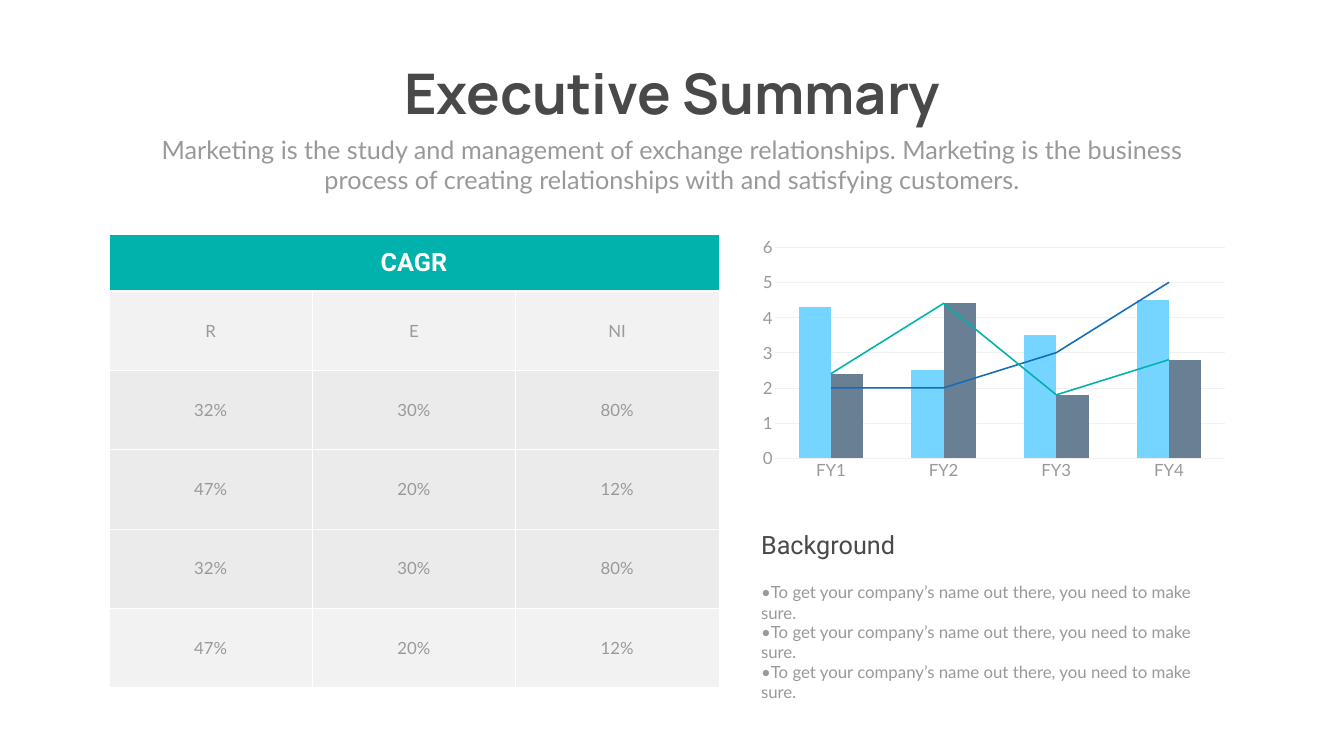
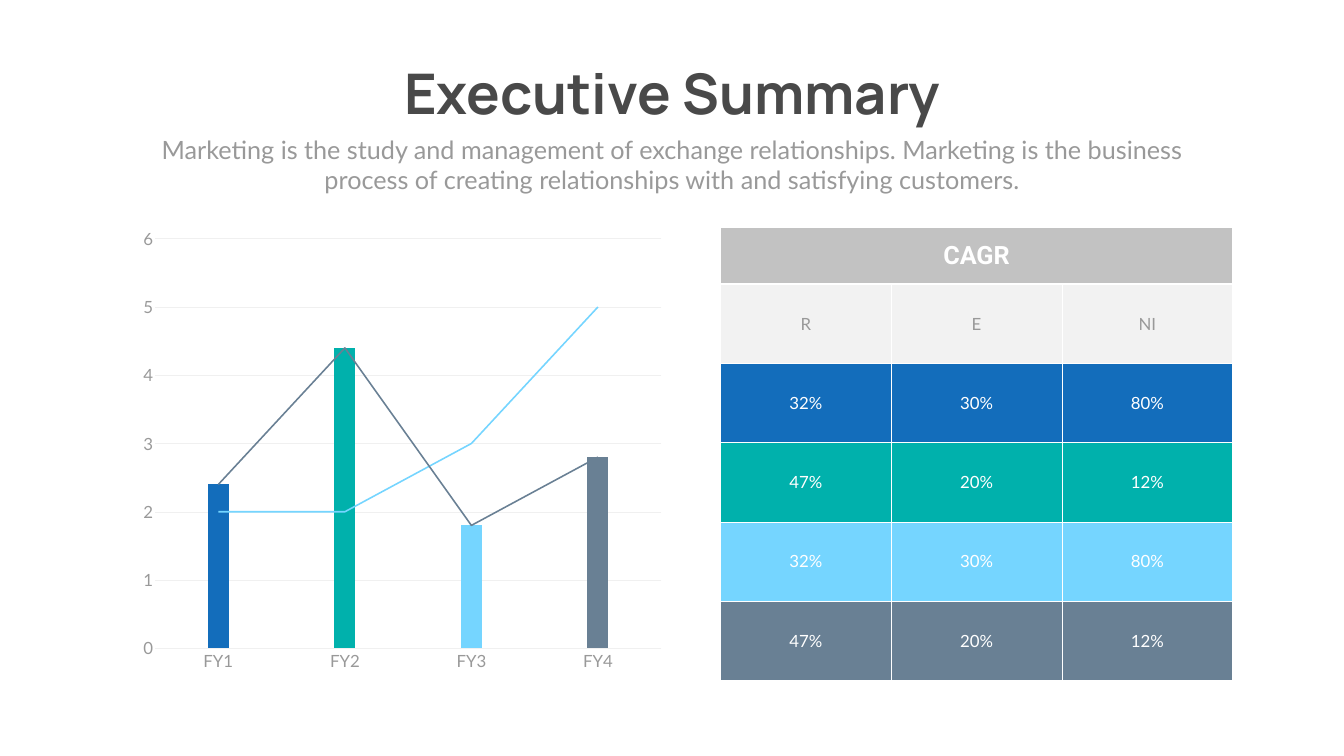
from pptx import Presentation
from pptx.chart.data import CategoryChartData
from pptx.dml.color import RGBColor
from pptx.enum.chart import XL_CHART_TYPE, XL_MARKER_STYLE, XL_TICK_MARK
from pptx.enum.text import MSO_ANCHOR, MSO_AUTO_SIZE, PP_ALIGN
from pptx.oxml import parse_xml
from pptx.oxml.ns import nsdecls, qn
from pptx.util import Cm, Pt

COLUMNS = XL_CHART_TYPE.COLUMN_CLUSTERED
NO_MARKER = XL_MARKER_STYLE.NONE
NO_TICK = XL_TICK_MARK.NONE
MIDDLE = MSO_ANCHOR.MIDDLE
GROW = MSO_AUTO_SIZE.SHAPE_TO_FIT_TEXT
LEFT, CENTER = PP_ALIGN.LEFT, PP_ALIGN.CENTER

BLUE, TEAL, SKY, SLATE = "136DBB", "00B1AC", "75D5FF", "698094"
DARK, GRAY, SILVER, WHITE = "494949", "999999", "C2C2C2", "FFFFFF"
PALE, GRID, MIST = "F2F2F2", "F0F0F0", "D9D9D9"

TITLE = "Executive Summary"
SUBTITLE = (
    "Marketing is the study and management of exchange relationships. "
    "Marketing is the business process of creating relationships with "
    "and satisfying customers."
)
BACKGROUND = "Background"
BACKGROUND_POINTS = ["•To get your company’s name out there, you need to make sure."] * 3

CAGR = "CAGR"
CAGR_ROWS = [
    ("R", "E", "NI"),
    ("32%", "30%", "80%"),
    ("47%", "20%", "12%"),
    ("32%", "30%", "80%"),
    ("47%", "20%", "12%"),
]
HEADER_HEIGHT, ROW_HEIGHT = 2.87, 3.99

YEARS = ["FY1", "FY2", "FY3", "FY4"]
FIRST_VALUES = (4.3, 2.5, 3.5, 4.5)
SECOND_VALUES = (2.4, 4.4, 1.8, 2.8)
THIRD_VALUES = (2, 2, 3, 5)

MUTED_TABLE = {
    "place": (5.49, 11.81, 30.73),
    "header": TEAL,
    "fills": [PALE, MIST, MIST, MIST, PALE],
    "inks": [GRAY] * 5,
}
VIVID_TABLE = {
    "place": (36.3, 11.46, 25.81),
    "header": SILVER,
    "fills": [PALE, BLUE, TEAL, SKY, SLATE],
    "inks": [GRAY] + [WHITE] * 4,
}
PAIRED_CHART = {
    "place": (37.95, 11.68, 24.28, 12.8),
    "gap": 150,
    "bars": [(FIRST_VALUES, SKY), (SECOND_VALUES, SLATE)],
    "lines": [(THIRD_VALUES, BLUE), (SECOND_VALUES, TEAL)],
    "points": {},
}
YEARLY_CHART = {
    "place": (6.68, 11.05, 27.18, 23.22),
    "gap": 500,
    "bars": [(SECOND_VALUES, TEAL)],
    "lines": [(THIRD_VALUES, SKY), (SECOND_VALUES, SLATE)],
    "points": {0: BLUE, 2: SKY, 3: SLATE},
}


def rgb(color):
    return RGBColor.from_string(color)


def paint(fill, color):
    fill.solid()
    fill.fore_color.rgb = rgb(color)


def style(font, size, face, color, bold=False):
    font.size = Pt(size)
    font.name = face
    font.bold = bold
    font.color.rgb = rgb(color)


def add_text(shapes, place, text, size, face, color, align=LEFT, bold=False, wrap=True):
    frame = shapes.add_textbox(*map(Cm, place)).text_frame
    frame.word_wrap = wrap
    frame.auto_size = GROW
    frame.text = text
    frame.paragraphs[0].alignment = align
    style(frame.paragraphs[0].runs[0].font, size, face, color, bold)


def add_heading(slide):
    shapes = slide.shapes.add_group_shape().shapes
    add_text(shapes, (18.9, 2.84, 29.95, 3.68), TITLE, 80, "Manrope", DARK,
             CENTER, bold=True, wrap=False)
    add_text(shapes, (7.42, 6.63, 52.88, 3.33), SUBTITLE, 36, "Lato", GRAY, CENTER)


def add_background(slide):
    shapes = slide.shapes.add_group_shape().shapes
    add_text(shapes, (38.1, 26.57, 8.28, 1.8), BACKGROUND, 36, "Roboto", DARK)
    for index, point in enumerate(BACKGROUND_POINTS):
        add_text(shapes, (38.1, 29.21 + 2 * index, 23.44, 1.27), point, 24, "Lato", GRAY)


def dress_cell(cell, fill, top=1, bottom=1):
    properties = cell._tc.get_or_add_tcPr()
    for side, width in (("L", 1), ("R", 1), ("T", top), ("B", bottom)):
        properties.append(parse_xml(
            f'<a:ln{side} {nsdecls("a")} w="{Pt(width)}"><a:solidFill>'
            f'<a:srgbClr val="{WHITE}"/></a:solidFill></a:ln{side}>'))
    paint(cell.fill, fill)
    if fill == MIST:
        tint = properties.find(qn("a:solidFill")).find(qn("a:srgbClr"))
        tint.append(parse_xml(f'<a:alpha {nsdecls("a")} val="50000"/>'))


def write_cell(cell, text, size, face, color, bold=False):
    cell.vertical_anchor = MIDDLE
    cell.text = text
    paragraph = cell.text_frame.paragraphs[0]
    paragraph.alignment = CENTER
    style(paragraph.runs[0].font, size, face, color, bold)


def add_cagr_table(slide, look):
    left, top, width = look["place"]
    row_count, column_count = len(CAGR_ROWS) + 1, len(CAGR_ROWS[0])
    height = HEADER_HEIGHT + ROW_HEIGHT * len(CAGR_ROWS)
    table = slide.shapes.add_table(
        row_count, column_count, Cm(left), Cm(top), Cm(width), Cm(height)).table
    table.first_row = table.horz_banding = False
    for column in table.columns:
        column.width = Cm(width / column_count)
    for index, row in enumerate(table.rows):
        row.height = Cm(ROW_HEIGHT if index else HEADER_HEIGHT)
    for column in range(column_count):
        dress_cell(table.cell(0, column), look["header"], bottom=3)
    table.cell(0, 0).merge(table.cell(0, column_count - 1))
    write_cell(table.cell(0, 0), CAGR, 36, "Roboto", WHITE, bold=True)
    for row, (texts, fill, ink) in enumerate(zip(CAGR_ROWS, look["fills"], look["inks"]), 1):
        for column, text in enumerate(texts):
            cell = table.cell(row, column)
            dress_cell(cell, fill, top=3 if row == 1 else 1)
            write_cell(cell, text, 24, "Lato", ink)


def move_to_lines(bar_plot, first_line):
    bars = bar_plot._element
    lines = parse_xml(
        f'<c:lineChart {nsdecls("c")}><c:grouping val="standard"/>'
        '<c:varyColors val="0"/></c:lineChart>')
    for series in bars.findall(qn("c:ser"))[first_line:]:
        for inversion in series.findall(qn("c:invertIfNegative")):
            series.remove(inversion)
        lines.append(series)
    for axis in bars.findall(qn("c:axId")):
        lines.append(parse_xml(f'<c:axId {nsdecls("c")} val="{axis.get("val")}"/>'))
    bars.addnext(lines)


def style_axis(axis):
    axis.major_tick_mark = axis.minor_tick_mark = NO_TICK
    style(axis.tick_labels.font, 24, "Lato", GRAY)


def style_line(line, color, width):
    line.color.rgb = rgb(color)
    line.width = Pt(width)


def add_year_chart(slide, look):
    data = CategoryChartData()
    data.categories = YEARS
    for number, (values, _) in enumerate(look["bars"] + look["lines"], 1):
        data.add_series(f"Series {number}", values)
    chart = slide.shapes.add_chart(COLUMNS, *map(Cm, look["place"]), data).chart
    chart.has_legend = chart.has_title = False
    style(chart.font, 10, "Calibri", GRAY)

    years, amounts = chart.category_axis, chart.value_axis
    style_axis(years)
    style_line(years.format.line, GRID, 0.75)
    style_axis(amounts)
    amounts.minimum_scale, amounts.maximum_scale, amounts.major_unit = 0, 6, 1
    amounts.format.line.fill.background()
    amounts.has_major_gridlines = True
    style_line(amounts.major_gridlines.format.line, GRID, 0.75)

    move_to_lines(chart.plots[0], len(look["bars"]))
    bar_plot, line_plot = chart.plots
    bar_plot.gap_width = look["gap"]
    bar_plot.vary_by_categories = False
    for series, (_, color) in zip(bar_plot.series, look["bars"]):
        paint(series.format.fill, color)
    for index, color in look["points"].items():
        paint(bar_plot.series[0].points[index].format.fill, color)
    for series, (_, color) in zip(line_plot.series, look["lines"]):
        style_line(series.format.line, color, 2.25)
        series.marker.style = NO_MARKER
        series.smooth = False


def add_slide(deck):
    slide = deck.slides.add_slide(deck.slide_layouts[6])
    paint(slide.background.fill, WHITE)
    add_heading(slide)
    return slide


def main():
    deck = Presentation()
    deck.slide_width, deck.slide_height = Cm(67.72), Cm(38.1)

    muted = add_slide(deck)
    add_cagr_table(muted, MUTED_TABLE)
    add_year_chart(muted, PAIRED_CHART)
    add_background(muted)

    vivid = add_slide(deck)
    add_year_chart(vivid, YEARLY_CHART)
    add_cagr_table(vivid, VIVID_TABLE)

    deck.save("out.pptx")


if __name__ == "__main__":
    main()
